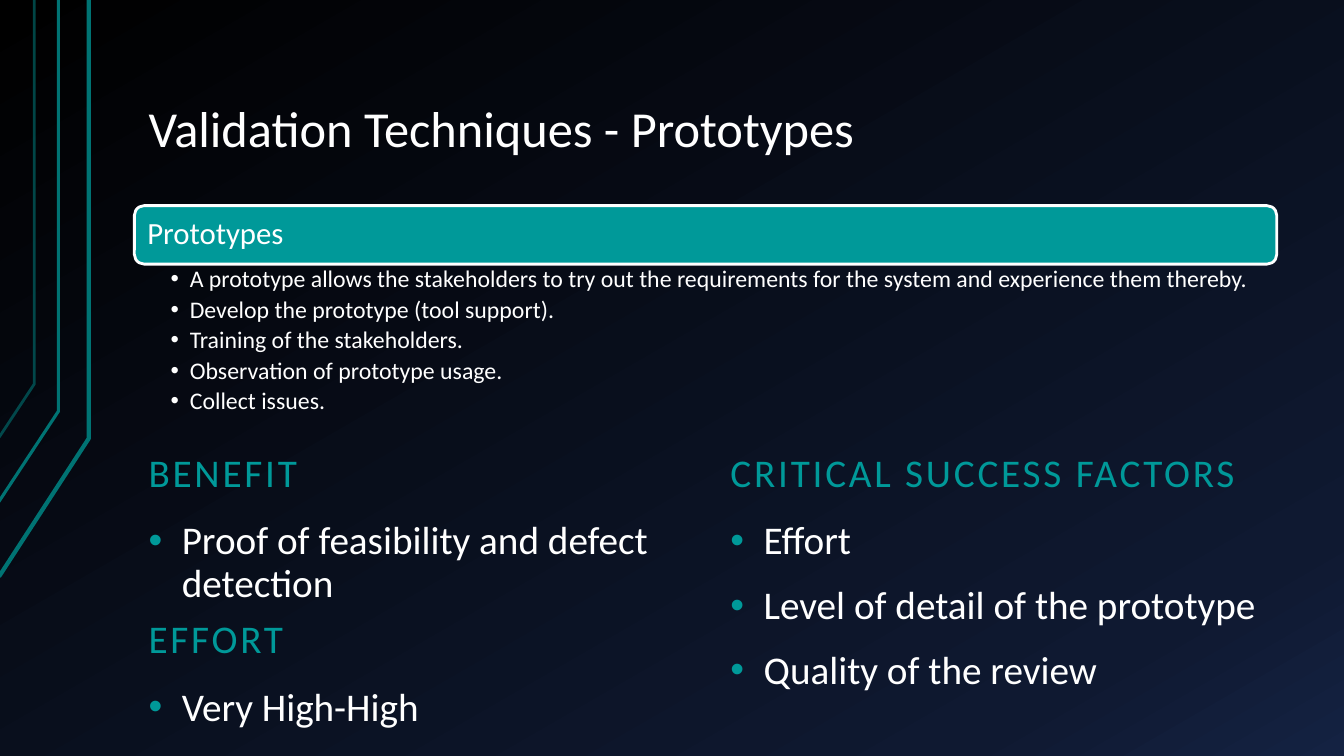
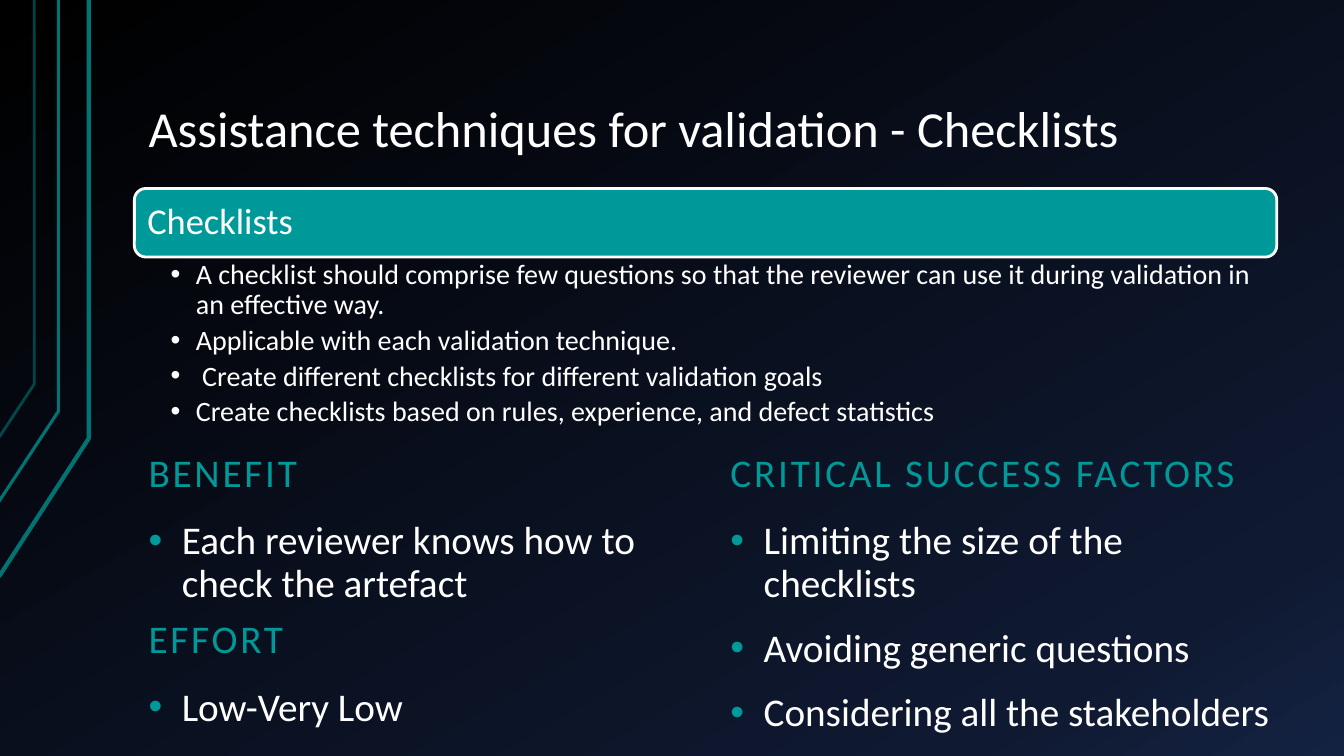
from copy import deepcopy

from lxml import etree
from pptx import Presentation
from pptx.dml.color import RGBColor
from pptx.enum.shapes import MSO_SHAPE
from pptx.enum.text import MSO_ANCHOR
from pptx.oxml.ns import qn
from pptx.util import Inches, Pt

ROUNDED = MSO_SHAPE.ROUNDED_RECTANGLE
TOP, MIDDLE, BOTTOM = MSO_ANCHOR.TOP, MSO_ANCHOR.MIDDLE, MSO_ANCHOR.BOTTOM

# Shared style
FONT = "Calibri"
WHITE, TEAL, RAIL = "FFFFFF", "009999", "007373"
BACKDROP = [(0, "000000"), (0.85, "0F1931"), (1, "142242")]
INSETS = (0.14, 0.07, 0.13, 0.07)

# Grid, in inches
WIDTH, HEIGHT = 13.333, 7.5
LEFT, CONTENT = 0.1 * WIDTH, 0.85 * WIDTH
COLUMN = 5.56
RIGHT = LEFT + CONTENT - COLUMN
UPPER_ROW, LOWER_ROW = 3.99, 5.64
HEADING_HEIGHT, LIST_OFFSET = 1, 1.11

# Left-hand rails: bottom, bend and top points, line width, opacity
RAILS = [
    ([(-0.01, 5.72), (0.88, 4.35), (0.88, 0)], 3, 100),
    ([(-0.02, 4.99), (0.58, 4.08), (0.58, 0)], 2.25, 100),
    ([(-0.01, 4.34), (0.34, 3.81), (0.34, 0)], 2, 60),
]

SLIDES = [
    {
        "title": "Validation Techniques - Prototypes",
        "band": "Prototypes",
        "band_top": 2.04, "band_height": 0.58, "band_size": 22,
        "point_size": 17, "point_indent": 0.19, "point_inset": 0.17,
        "points": [
            "A prototype allows the stakeholders to try out the requirements "
            "for the system and experience them thereby.",
            "Develop the prototype (tool support).",
            "Training of the stakeholders.",
            "Observation of prototype usage.",
            "Collect issues.",
        ],
        "benefit": ["Proof of feasibility and defect detection"],
        "factors": ["Eﬀort", "Level of detail of the prototype",
                    "Quality of the review"],
        "effort": ["Very High-High"],
    },
    {
        "title": "Assistance techniques for validation - Checklists",
        "band": "Checklists",
        "band_top": 1.87, "band_height": 0.68, "band_size": 26,
        "point_size": 20, "point_indent": 0.25, "point_inset": 0.2,
        "points": [
            "A checklist should comprise few questions so that the reviewer "
            "can use it during validation in an eﬀective way.",
            "Applicable with each validation technique.",
            " Create diﬀerent checklists for diﬀerent validation goals",
            "Create checklists based on rules, experience, and defect statistics",
        ],
        "benefit": ["Each reviewer knows how to check the artefact"],
        "factors": ["Limiting the size of the checklists",
                    "Avoiding generic questions",
                    "Considering all the stakeholders"],
        "effort": ["Low-Very Low"],
    },
]


def rgb(value):
    return RGBColor.from_string(value)


def paint_backdrop(master):
    fill = master.background.fill
    fill.gradient()
    fill.gradient_angle = 300
    stop_list = master.element.find(".//" + qn("a:gsLst"))
    stop_list.remove(stop_list[-1])
    while len(stop_list) < len(BACKDROP):
        stop_list.append(deepcopy(stop_list[0]))
    for stop, (position, color) in zip(fill.gradient_stops, BACKDROP):
        stop.position = position
        stop.color.rgb = rgb(color)


def add_bullet(paragraph, indent, color):
    props = paragraph._p.get_or_add_pPr()
    props.set("marL", str(Inches(indent)))
    props.set("indent", str(-Inches(indent)))
    bullet_color = etree.SubElement(props, qn("a:buClr"))
    etree.SubElement(bullet_color, qn("a:srgbClr"), val=color)
    etree.SubElement(props, qn("a:buFont"), typeface="Arial")
    etree.SubElement(props, qn("a:buChar"), char="•")


def add_text(slide, lines, left, top, width, height, size=28, color=WHITE,
             anchor=TOP, insets=INSETS, before=0, after=0, tracking=0,
             indent=0, bullet_color=TEAL):
    box = slide.shapes.add_textbox(*map(Inches, (left, top, width, height)))
    frame = box.text_frame
    frame.word_wrap = True
    frame.vertical_anchor = anchor
    (frame.margin_left, frame.margin_top,
     frame.margin_right, frame.margin_bottom) = map(Inches, insets)
    for number, line in enumerate(lines):
        paragraph = frame.add_paragraph() if number else frame.paragraphs[0]
        paragraph.line_spacing = 0.9
        paragraph.space_before, paragraph.space_after = Pt(before), Pt(after)
        if indent:
            add_bullet(paragraph, indent, bullet_color)
        run = paragraph.add_run()
        run.text = line
        run.font.name, run.font.size = FONT, Pt(size)
        run.font.color.rgb = rgb(color)
        if tracking:
            run._r.get_or_add_rPr().set("spc", str(tracking * 100))


def add_rails(slide):
    for points, weight, opacity in RAILS:
        start, *others = [(Inches(x), Inches(y)) for x, y in points]
        builder = slide.shapes.build_freeform(*start)
        builder.add_line_segments(others, close=False)
        rail = builder.convert_to_shape()
        rail.shadow.inherit = False
        rail.fill.background()
        rail.line.color.rgb = rgb(RAIL)
        rail.line.width = Pt(weight)
        if opacity < 100:
            ink = rail.line._ln.find(".//" + qn("a:srgbClr"))
            etree.SubElement(ink, qn("a:alpha"), val=str(opacity * 1000))


def add_band(slide, label, top, height, size):
    band = slide.shapes.add_shape(
        ROUNDED, *map(Inches, (LEFT, top, CONTENT, height)))
    band.shadow.inherit = False
    band.fill.solid()
    band.fill.fore_color.rgb = rgb(TEAL)
    band.line.color.rgb = rgb(WHITE)
    band.line.width = Pt(2)
    gap = 0.03
    add_text(slide, [label], LEFT + gap, top + gap, CONTENT - 2 * gap,
             height - 2 * gap, size=size, anchor=MIDDLE, insets=(0.1,) * 4)


def add_section(slide, heading, items, left, top, list_height):
    add_text(slide, [heading], left, top, COLUMN, HEADING_HEIGHT,
             color=TEAL, anchor=BOTTOM, tracking=2)
    add_text(slide, items, left, top + LIST_OFFSET, COLUMN + 0.06,
             list_height, before=16, indent=0.33)


def add_technique(prs, content):
    slide = prs.slides.add_slide(prs.slide_layouts[6])
    add_rails(slide)
    add_text(slide, [content["title"]], LEFT, 0.04 * HEIGHT, CONTENT, 1.34,
             size=36, anchor=BOTTOM)

    # Band with its points
    top, height = content["band_top"], content["band_height"]
    size = content["point_size"]
    add_band(slide, content["band"], top, height, content["band_size"])
    add_text(slide, content["points"], LEFT, top + height, CONTENT, 1.6,
             size=size, after=0.2 * size, indent=content["point_indent"],
             bullet_color=WHITE,
             insets=(0.36, 0.03, content["point_inset"], 0.03))

    # Assessment
    add_section(slide, "BENEFIT", content["benefit"], LEFT, UPPER_ROW, 0.86)
    add_section(slide, "CRITICAL SUCCESS FACTORS", content["factors"],
                RIGHT, UPPER_ROW, 2.4)
    add_section(slide, "EFFORT", content["effort"], LEFT, LOWER_ROW, 0.75)


def main():
    prs = Presentation()
    prs.slide_width, prs.slide_height = Inches(WIDTH), Inches(HEIGHT)
    paint_backdrop(prs.slide_master)
    for content in SLIDES:
        add_technique(prs, content)
    prs.save("out.pptx")


if __name__ == "__main__":
    main()
